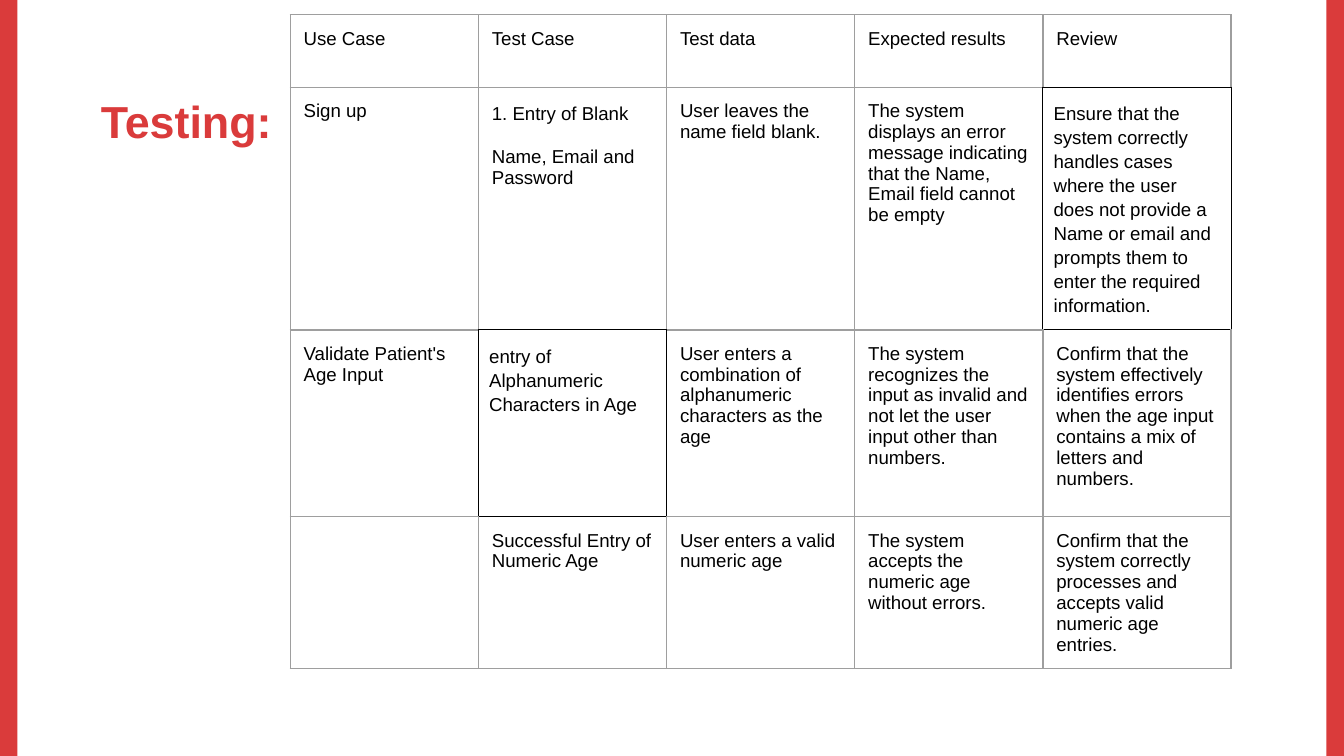
from lxml.etree import SubElement
from pptx import Presentation
from pptx.dml.color import RGBColor
from pptx.enum.shapes import MSO_SHAPE
from pptx.enum.text import MSO_ANCHOR, MSO_AUTO_SIZE, PP_ALIGN
from pptx.oxml.ns import qn
from pptx.util import Inches, Pt

RED = RGBColor(0xDA, 0x3B, 0x3B)
GREY = RGBColor(0x9E, 0x9E, 0x9E)
BLACK = RGBColor(0, 0, 0)
FONT = "Arial"
WIDE = 10
HIGH = WIDE * 9 / 16
BAR = 0.13
PAD, SLIM = 0.1, 0.08
COLS = [1.4] * 5
ROWS = [0.54, 1.8, 1.39, 1.13]

# A cell holds one string, or a list with one string per paragraph
CASES = [
    ["Use Case", "Test Case", "Test data", "Expected results", "Review"],
    ["Sign up",
     ["1. Entry of Blank", "Name, Email and Password"],
     "User leaves the name field blank.",
     "The system displays an error message indicating that the Name, "
     "Email field cannot be empty",
     "Ensure that the system correctly handles cases where the user does not "
     "provide a Name or email and prompts them to enter the required information."],
    ["Validate Patient's Age Input",
     "entry of Alphanumeric Characters in Age",
     "User enters a combination of alphanumeric characters as the age",
     "The system recognizes the input as invalid and not let the user input "
     "other than numbers.",
     "Confirm that the system effectively identifies errors when the age input "
     "contains a mix of letters and numbers."],
    ["",
     "Successful Entry of Numeric Age",
     "User enters a valid numeric age",
     "The system accepts the numeric age without errors.",
     "Confirm that the system correctly processes and accepts valid numeric "
     "age entries."],
]
DARK = {(1, 4), (2, 1)}           # cells framed in black
LOOSE = DARK | {(1, 1)}           # cells whose first line is spaced wider
SIDES = {"L": (0, -1), "R": (0, 1), "T": (-1, 0), "B": (1, 0)}


def place(shape, box):
    shape.left, shape.top, shape.width, shape.height = map(Inches, box)


def add_run(para, text, size, color, bold=False):
    run = para.add_run()
    run.text = text
    run.font.name = FONT
    run.font.size = Pt(size)
    run.font.bold = bold
    run.font.color.rgb = color


def add_bar(slide, box):
    bar = slide.shapes.add_shape(MSO_SHAPE.RECTANGLE, *map(Inches, box))
    bar.shadow.inherit = False
    bar.fill.solid()
    bar.fill.fore_color.rgb = RED
    bar.line.fill.background()


def add_title(slide, box, text):
    title = slide.shapes.title
    place(title, box)
    frame = title.text_frame
    frame.auto_size = MSO_AUTO_SIZE.NONE
    frame.word_wrap = True
    frame.vertical_anchor = MSO_ANCHOR.BOTTOM
    frame.margin_left = frame.margin_right = Inches(PAD)
    frame.margin_top = frame.margin_bottom = Inches(PAD)
    para = frame.paragraphs[0]
    para.alignment = PP_ALIGN.LEFT
    add_run(para, text, 24, RED, True)


def set_edges(cell, spot):
    """Draw four edges; an edge shared with a dark cell is dark too."""
    props = cell._tc.get_or_add_tcPr()
    for at, (side, (down, right)) in enumerate(SIDES.items()):
        next_to = (spot[0] + down, spot[1] + right)
        dark = spot in DARK or next_to in DARK
        line = SubElement(props, qn(f"a:ln{side}"),
                          w=str(Pt(0.6 if dark else 0.75)))
        fill = SubElement(line, qn("a:solidFill"))
        SubElement(fill, qn("a:srgbClr"), val=str(BLACK if dark else GREY))
        props.insert(at, line)


def fill_cell(cell, spot, text):
    cell.fill.background()
    side = SLIM if spot in DARK else PAD
    cell.margin_left = cell.margin_right = Inches(side)
    cell.margin_top = cell.margin_bottom = Inches(PAD)
    set_edges(cell, spot)
    parts = text if isinstance(text, list) else [text]
    frame = cell.text_frame
    for at, part in enumerate(parts):
        para = frame.add_paragraph() if at else frame.paragraphs[0]
        if at:
            para.space_before = Pt(12)
        elif spot in LOOSE:
            para.line_spacing = 1.15
        if part:
            add_run(para, part, 10, BLACK)


def add_cases(slide, left, top):
    box = (left, top, sum(COLS), sum(ROWS))
    table = slide.shapes.add_table(len(ROWS), len(COLS),
                                   *map(Inches, box)).table
    table.first_row = table.horz_banding = False
    for col, width in zip(table.columns, COLS):
        col.width = Inches(width)
    for row, height in zip(table.rows, ROWS):
        row.height = Inches(height)
    for r, line in enumerate(CASES):
        for c, text in enumerate(line):
            fill_cell(table.cell(r, c), (r, c), text)


def main():
    deck = Presentation()
    deck.slide_width, deck.slide_height = Inches(WIDE), Inches(HIGH)
    slide = deck.slides.add_slide(deck.slide_layouts[5])
    # Side bars
    for left in (0, WIDE - BAR):
        add_bar(slide, (left, 0, BAR, HIGH))
    # Heading and table of test cases
    add_title(slide, (0.65, 0.81, 3.18, 0.39), "Testing:")
    add_cases(slide, 2.16, 0.11)
    deck.save("out.pptx")


if __name__ == "__main__":
    main()
